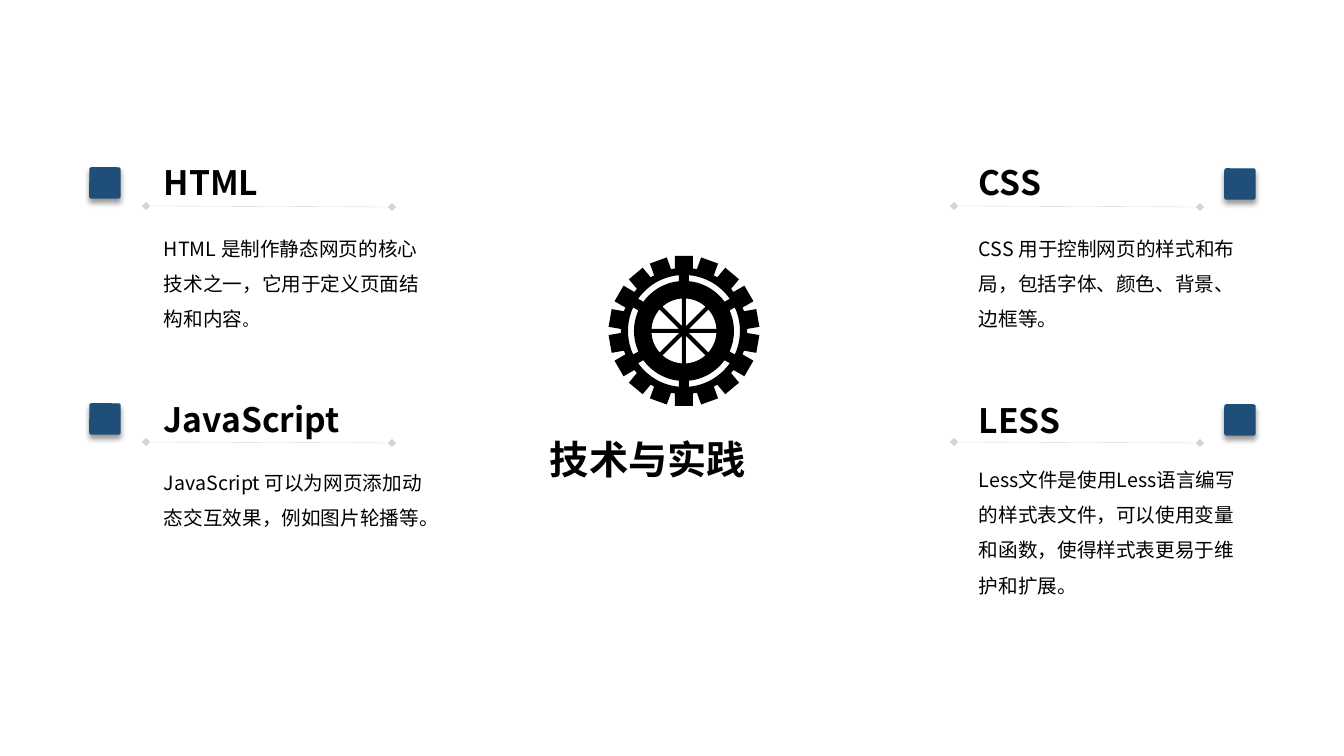
import math
from dataclasses import dataclass

import lxml.etree
import pptx
import pptx.dml.color
import pptx.enum.shapes
import pptx.enum.text
import pptx.oxml.ns
import pptx.util

EMU_PER_PX = 12192000 / 1344
FONT = "Noto Sans CJK SC"
BLACK = pptx.dml.color.RGBColor(0x00, 0x00, 0x00)
NAVY = pptx.dml.color.RGBColor(0x1F, 0x4E, 0x79)
GRAY = pptx.dml.color.RGBColor(0x80, 0x80, 0x80)

GEAR_CENTER = (684, 331)
TEETH = 18
SLOTS = 6
WEDGES = 8
ARC_STEPS = 12

Point = tuple[float, float]


@dataclass(frozen=True)
class Column:
    marker_left: int
    rule_left: int
    text_left: int


@dataclass(frozen=True)
class Topic:
    column: Column
    marker_top: int
    rule_top: int
    heading_top: int
    body_top: int
    heading: str
    body: str
    small_ending: str = ""


LEFT = Column(90, 146, 154)
RIGHT = Column(1225, 954, 969)

TOPICS = [
    Topic(LEFT, 168, 206, 137, 225, "HTML",
          "HTML 是制作静态网页的核心技术之一，它用于定义页面结构和内容", "。"),
    Topic(LEFT, 404, 442, 374, 459, "JavaScript",
          "JavaScript 可以为网页添加动态交互效果，例如图片轮播等。"),
    Topic(RIGHT, 169, 206, 137, 225, "CSS",
          "CSS 用于控制网页的样式和布局，包括字体、颜色、背景、边框等。"),
    Topic(RIGHT, 405, 442, 375, 456, "LESS",
          "Less文件是使用Less语言编写的样式表文件，可以使用变量和函数，"
          "使得样式表更易于维护和扩展。"),
]


def px(length: float) -> pptx.util.Emu:
    return pptx.util.Emu(round(length * EMU_PER_PX))


def add_child(parent, tag: str, **attributes: str):
    return lxml.etree.SubElement(parent, pptx.oxml.ns.qn(tag), attributes)


def add_marker(page, left: int, top: int) -> None:
    marker = page.shapes.add_shape(
        pptx.enum.shapes.MSO_SHAPE.ROUNDED_RECTANGLE, px(left), px(top), px(30), px(30))
    marker.adjustments[0] = 0.05
    marker.fill.solid()
    marker.fill.fore_color.rgb = NAVY
    marker.line.color.rgb = NAVY
    marker.line.width = pptx.util.Pt(1)
    marker.shadow.inherit = False
    effects = marker._element.spPr.find(pptx.oxml.ns.qn("a:effectLst"))
    shadow = add_child(effects, "a:outerShdw", blurRad="50800", dist="38100",
                       dir="5400000", algn="t", rotWithShape="0")
    color = add_child(shadow, "a:srgbClr", val=str(BLACK))
    add_child(color, "a:alpha", val="40000")


def add_rule(page, left: int, top: int) -> None:
    rule = page.shapes.add_connector(
        pptx.enum.shapes.MSO_CONNECTOR.STRAIGHT, px(left), px(top), px(left + 246), px(top + 1))
    rule.line.color.rgb = GRAY
    rule.line.width = pptx.util.Pt(0.25)
    outline = rule.line._ln
    color = outline.find(".//" + pptx.oxml.ns.qn("a:srgbClr"))
    add_child(color, "a:alpha", val="33000")
    for end in ("a:headEnd", "a:tailEnd"):
        add_child(outline, end, type="diamond")
    add_child(rule._element.spPr, "a:effectLst")


def add_text(page, left: int, top: int, width: int, height: int, text: str,
             size: int, bold: bool = False):
    box = page.shapes.add_textbox(px(left), px(top), px(width), px(height))
    box.text_frame.word_wrap = True
    para = box.text_frame.paragraphs[0]
    para.add_run().text = text
    para.font.name = FONT
    para.font.size = pptx.util.Pt(size)
    para.font.bold = bold
    para.font.color.rgb = BLACK
    add_child(para.font._rPr, "a:ea", typeface=FONT)
    return box


def add_topic(page, topic: Topic) -> None:
    add_marker(page, topic.column.marker_left, topic.marker_top)
    add_rule(page, topic.column.rule_left, topic.rule_top)
    left = topic.column.text_left
    heading = add_text(page, left, topic.heading_top, 247, 72, topic.heading, 24, True)
    heading.text_frame.auto_size = pptx.enum.text.MSO_AUTO_SIZE.SHAPE_TO_FIT_TEXT
    body = add_text(page, left, topic.body_top, 289, 146, topic.body, 14)
    body.text_frame.margin_top = body.text_frame.margin_bottom = 0
    for box in (heading, body):
        box.text_frame.paragraphs[0].line_spacing = 1.5
    if topic.small_ending:
        span = body.text_frame.paragraphs[0].add_run()
        span.text = topic.small_ending
        span.font.size = pptx.util.Pt(11)


def polar(radius: float, angle: float) -> Point:
    return radius * math.sin(angle), -radius * math.cos(angle)


def arc(radius: float, start: float, sweep: float, inset: float) -> list[Point]:
    trim = math.asin(inset / radius)
    step = (sweep - 2 * trim) / ARC_STEPS
    return [polar(radius, start + trim + index * step) for index in range(ARC_STEPS + 1)]


def gear_rim() -> list[Point]:
    tooth = [(-9, 62.5), (-9, 75), (9, 75), (9, 62.5)]
    turns = [index * math.tau / TEETH for index in range(TEETH)]
    return [polar(math.hypot(across, out), turn + math.atan2(across, out))
            for turn in turns for across, out in tooth]


def gear_slot(index: int) -> list[Point]:
    sweep = math.tau / SLOTS
    start = index * sweep
    return arc(56, start, sweep, 5) + arc(50, start, sweep, 5)[::-1]


def gear_wedge(index: int) -> list[Point]:
    sweep = math.tau / WEDGES
    start = index * sweep
    apex = polar(2 / math.sin(sweep / 2), start + sweep / 2)
    return [apex] + arc(32.5, start, sweep, 2)


def add_gear(page) -> None:
    contours = [gear_rim()]
    contours += [gear_slot(index) for index in range(SLOTS)]
    contours += [gear_wedge(index) for index in range(WEDGES)]
    center_x, center_y = GEAR_CENTER
    placed = [[(px(center_x + x), px(center_y + y)) for x, y in contour]
              for contour in contours]
    builder = page.shapes.build_freeform(*placed[0][0])
    for contour in placed:
        if contour is not placed[0]:
            builder.move_to(*contour[0])
        builder.add_line_segments(contour[1:], close=True)
    gear = builder.convert_to_shape()
    gear.fill.solid()
    gear.fill.fore_color.rgb = BLACK
    gear.line.fill.background()
    gear.shadow.inherit = False


def main() -> None:
    deck = pptx.Presentation()
    deck.slide_width = px(1344)
    deck.slide_height = px(756)
    page = deck.slides.add_slide(deck.slide_layouts[6])
    for topic in TOPICS:
        add_topic(page, topic)
    add_gear(page)
    title = add_text(page, 540, 430, 288, 57, "技术与实践", 28, True)
    title.text_frame.auto_size = pptx.enum.text.MSO_AUTO_SIZE.SHAPE_TO_FIT_TEXT
    title.text_frame.paragraphs[0].alignment = pptx.enum.text.PP_ALIGN.JUSTIFY
    deck.save("out.pptx")


if __name__ == "__main__":
    main()
